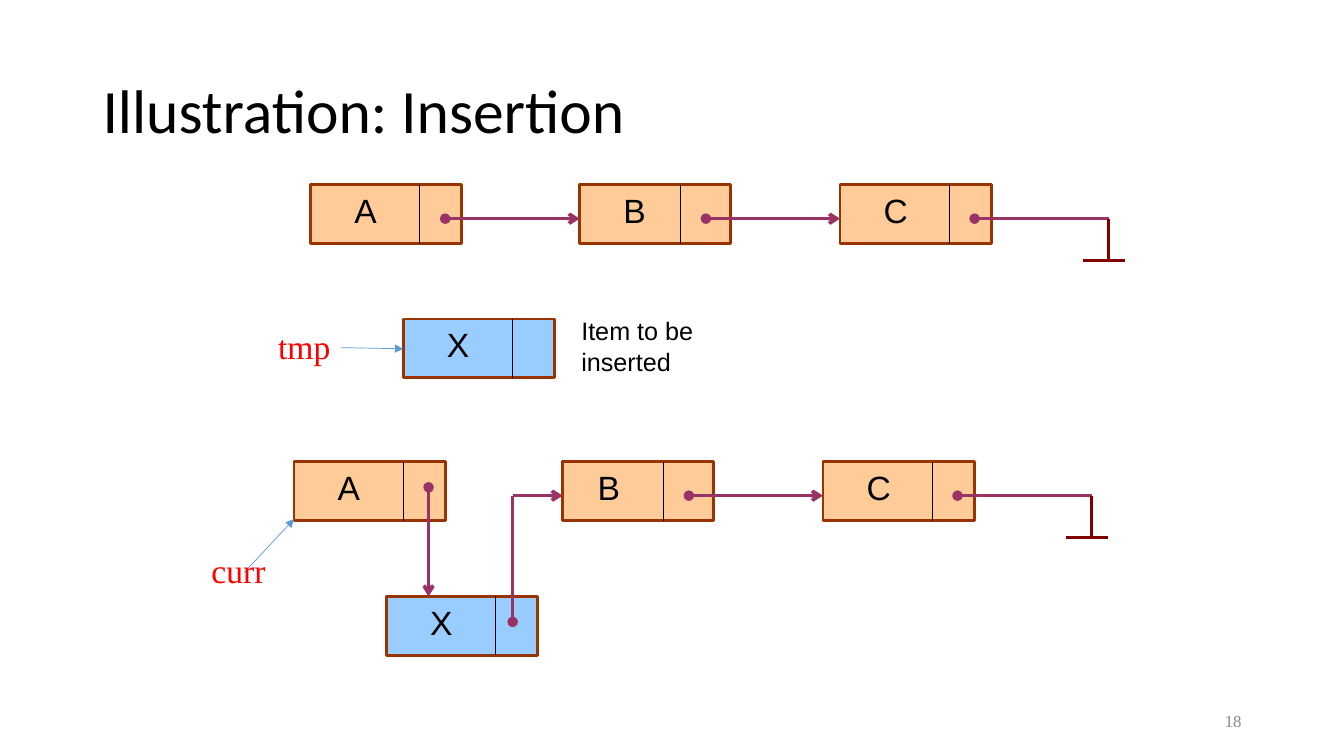
from dataclasses import dataclass

from lxml.etree import SubElement
from pptx import Presentation
from pptx.dml.color import RGBColor as RGB
from pptx.enum.shapes import MSO_CONNECTOR as Conn, MSO_SHAPE as Kind
from pptx.enum.text import MSO_ANCHOR as Anchor, PP_ALIGN as Align
from pptx.oxml.ns import qn
from pptx.slide import Slide
from pptx.text.text import TextFrame
from pptx.util import Cm, Pt


@dataclass(frozen=True)
class Theme:
    black: str = "000000"
    orange: str = "FFCC99"
    blue: str = "99CCFF"
    edge: str = "993300"
    link: str = "993366"
    ground: str = "800000"
    guide: str = "5B9BD5"
    red: str = "FF0000"
    gray: str = "898989"
    sans: str = "Arial"
    serif: str = "Times New Roman"
    head: str = "Calibri"
    title: float = 44
    label: float = 24
    note: float = 18
    small: float = 12


@dataclass(frozen=True)
class Node:
    name: str
    left: float
    top: float
    fill: str
    split: float = 2.75
    inset: float = 0.85

    @property
    def dot(self) -> float:
        return self.left + self.split + 0.64


@dataclass(frozen=True)
class Line:
    x1: float
    y1: float
    x2: float
    y2: float
    color: str
    width: float = 2.5
    head: str = ""
    tail: str = ""


@dataclass(frozen=True)
class Label:
    text: str
    left: float
    top: float
    width: float
    height: float
    size: float
    font: str
    color: str
    wrap: bool = True
    align: Align = Align.LEFT
    anchor: Anchor = Anchor.TOP


look = Theme()
WIDE, HIGH = 3.81, 1.48  # node size
DROP = 0.85  # node top to link


def add_run(frame: TextFrame, text: str, size: float, font: str, color: str) -> None:
    run = frame.paragraphs[0].add_run()
    run.text = text
    run.font.size = Pt(size)
    run.font.name = font
    run.font.color.rgb = RGB.from_string(color)


def add_label(slide: Slide, item: Label) -> None:
    box = slide.shapes.add_textbox(
        Cm(item.left), Cm(item.top), Cm(item.width), Cm(item.height))
    frame = box.text_frame
    frame.word_wrap = item.wrap
    frame.vertical_anchor = item.anchor
    frame.paragraphs[0].alignment = item.align
    add_run(frame, item.text, item.size, item.font, item.color)


def add_line(slide: Slide, item: Line) -> None:
    line = slide.shapes.add_connector(
        Conn.STRAIGHT, Cm(item.x1), Cm(item.y1), Cm(item.x2), Cm(item.y2))
    line.line.color.rgb = RGB.from_string(item.color)
    line.line.width = Pt(item.width)
    props = line.line._get_or_add_ln()
    for tag, kind in (("a:headEnd", item.head), ("a:tailEnd", item.tail)):
        if kind:
            SubElement(props, qn(tag), type=kind)
    SubElement(line._element.spPr, qn("a:effectLst"))


def add_node(slide: Slide, node: Node) -> None:
    box = slide.shapes.add_shape(
        Kind.RECTANGLE, Cm(node.left), Cm(node.top), Cm(WIDE), Cm(HIGH))
    box.shadow.inherit = False
    box.fill.solid()
    box.fill.fore_color.rgb = RGB.from_string(node.fill)
    box.line.color.rgb = RGB.from_string(look.edge)
    box.line.width = Pt(2)
    x = node.left + node.split
    add_line(slide, Line(x, node.top, x, node.top + HIGH, look.black, 0.75))
    add_label(slide, Label(node.name, node.left + node.inset, node.top, 1.69, 1.27,
                           look.label, look.sans, look.black))


def add_chain(slide: Slide, nodes: list[Node]) -> None:
    """Link each node to the next and ground the last one."""
    for node, after in zip(nodes, nodes[1:]):
        y = node.top + DROP
        add_line(slide, Line(node.dot, y, after.left, y, look.link,
                             head="oval", tail="arrow"))
    last = nodes[-1]
    y, end = last.top + DROP, last.dot + 3.38
    base = y + 1.05
    add_line(slide, Line(last.dot, y, end, y, look.link, head="oval"))
    add_line(slide, Line(end, y, end, base, look.ground))
    add_line(slide, Line(end - 0.64, base, end + 0.42, base, look.ground))


def main() -> None:
    deck = Presentation()
    deck.slide_width, deck.slide_height = Cm(33.87), Cm(19.05)
    slide = deck.slides.add_slide(deck.slide_layouts[5])

    # Title
    title = slide.shapes.title
    title.left, title.top, title.width, title.height = Cm(2.33), Cm(1.01), Cm(29.21), Cm(3.68)
    frame = title.text_frame
    frame.vertical_anchor = Anchor.MIDDLE
    frame.paragraphs[0].alignment = Align.LEFT
    frame.paragraphs[0].line_spacing = 0.9
    add_run(frame, "Illustration: Insertion", look.title, look.head, look.black)

    # Nodes before, the new item, and nodes after
    before = [
        Node("A", 7.83, 4.66, look.orange),
        Node("B", 14.61, 4.66, look.orange, split=2.54),
        Node("C", 21.17, 4.66, look.orange),
    ]
    item = Node("X", 10.16, 8.04, look.blue)
    first = Node("A", 7.41, 11.64, look.orange)
    rest = [
        Node("B", 14.18, 11.64, look.orange, split=2.54, inset=0.63),
        Node("C", 20.74, 11.64, look.orange),
    ]
    added = Node("X", 9.74, 15.03, look.blue)
    for node in (*before, item, first, *rest, added):
        add_node(slide, node)

    # Links
    add_chain(slide, before)
    add_chain(slide, rest)
    down, up, level = first.dot, added.left + 3.18, first.top + DROP
    for line in (
        Line(down, first.top + 0.64, down, added.top, look.link, head="oval", tail="arrow"),
        Line(up, added.top + 0.64, up, level, look.link, head="oval"),
        Line(up, level, rest[0].left, level, look.link, tail="arrow"),
        # Pointers
        Line(8.59, 8.76, item.left, 8.79, look.guide, 0.5, tail="triangle"),
        Line(6.15, 14.43, first.left, 13.08, look.guide, 0.5, tail="triangle"),
    ):
        add_line(slide, line)

    # Labels and slide number
    for label in (
        Label("tmp", 6.76, 8.1, 1.83, 1.27, look.label, look.serif, look.red, wrap=False),
        Label("curr", 5.08, 13.74, 1.88, 1.27, look.label, look.serif, look.red, wrap=False),
        Label("Item to be inserted", 14.4, 7.83, 4.65, 1.78, look.note, look.sans, look.black),
        Label("18", 23.92, 17.65, 7.62, 1.01, look.small, look.serif, look.gray,
              align=Align.RIGHT, anchor=Anchor.MIDDLE),
    ):
        add_label(slide, label)

    deck.save("out.pptx")


if __name__ == "__main__":
    main()
